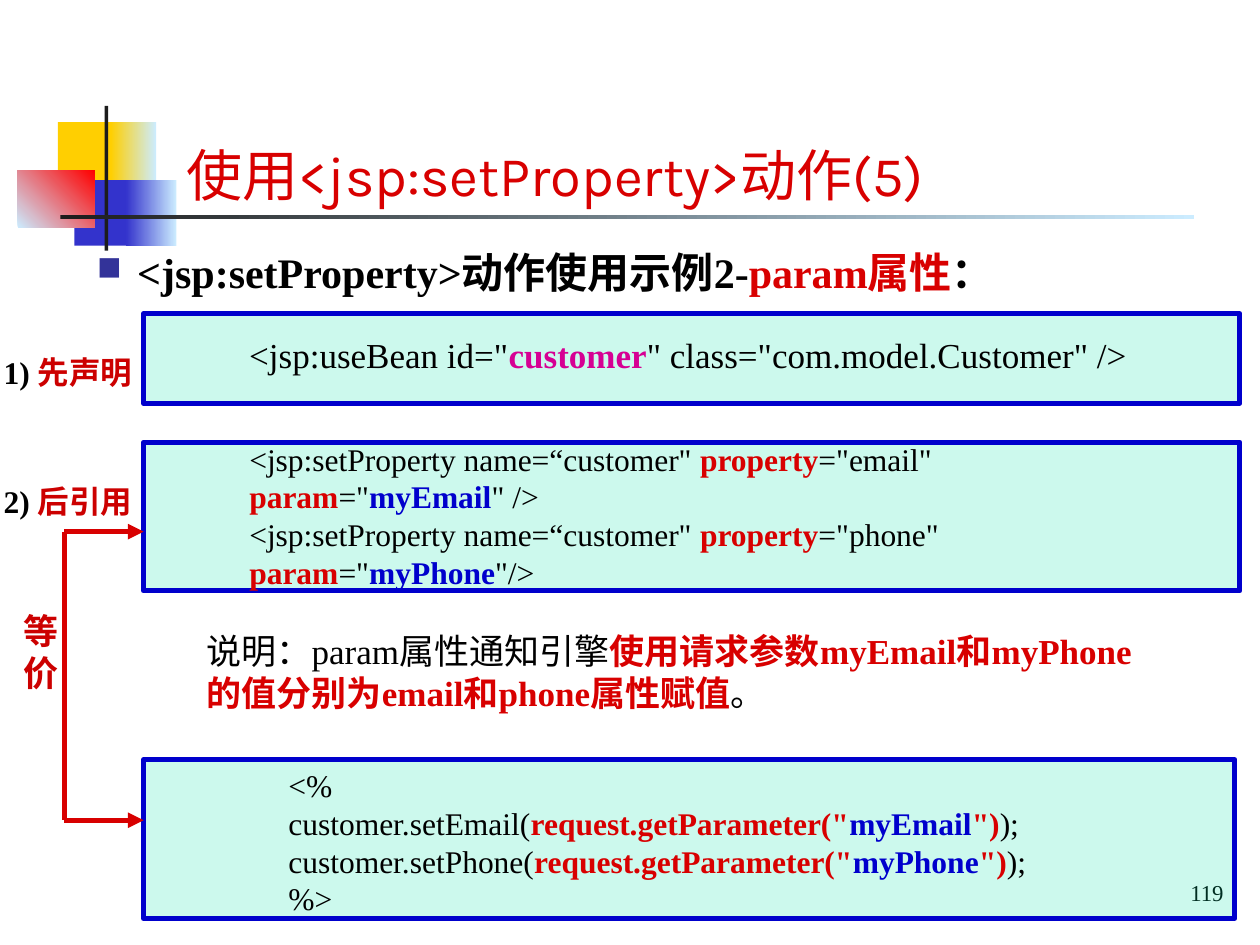
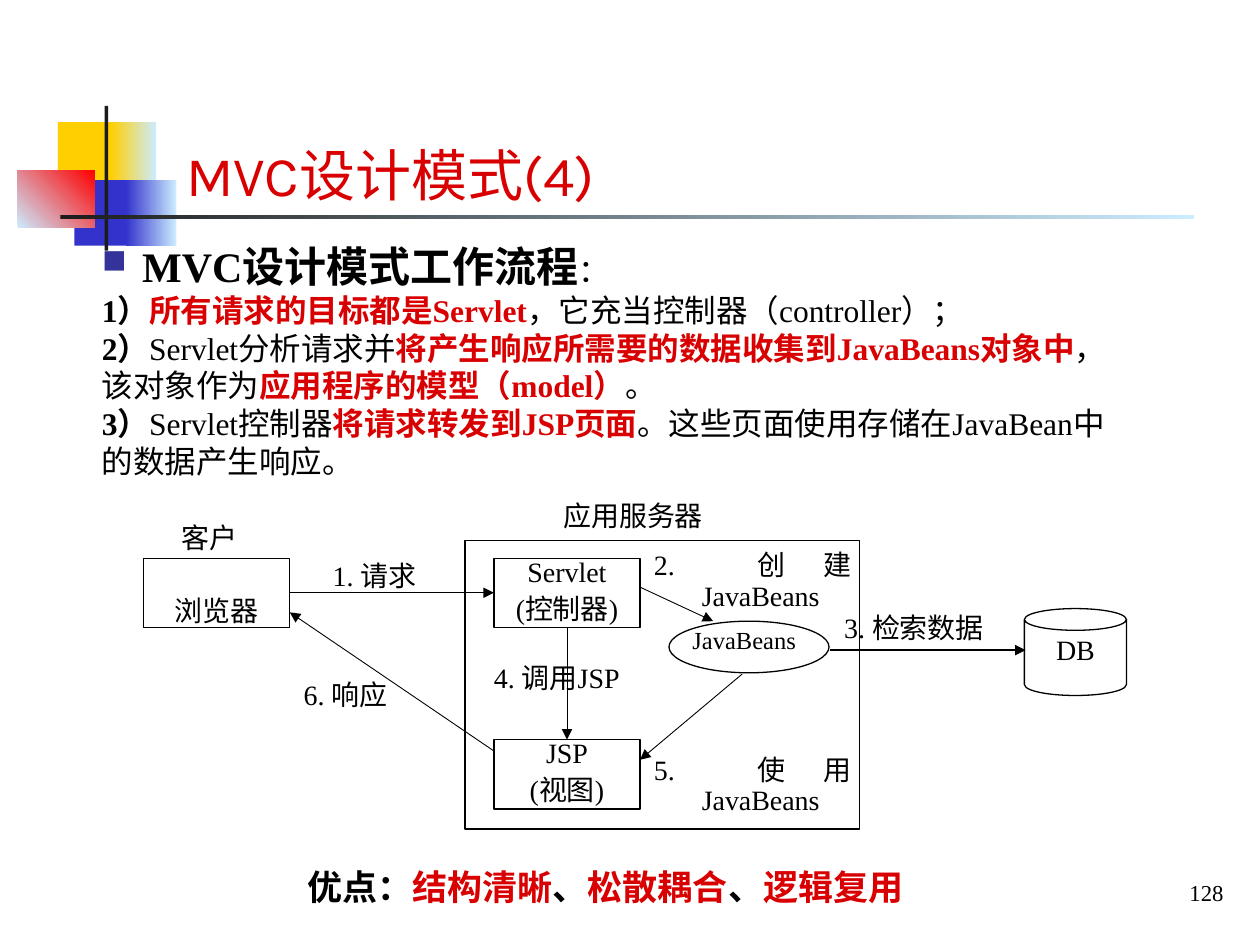
import dataclasses

import lxml.etree
import pptx
import pptx.dml.color
import pptx.enum.dml
import pptx.enum.shapes
import pptx.enum.text
import pptx.oxml
import pptx.oxml.ns
import pptx.util

Inches = pptx.util.Inches
Pt = pptx.util.Pt
RGB = pptx.dml.color.RGBColor.from_string
SHAPE = pptx.enum.shapes.MSO_SHAPE
ALIGN = pptx.enum.text.PP_ALIGN
ANCHOR = pptx.enum.text.MSO_ANCHOR
qn = pptx.oxml.ns.qn


@dataclasses.dataclass(frozen=True)
class Theme:
    black: str = "000000"
    red: str = "D80000"
    dark_red: str = "CC0000"
    blue: str = "0000CC"
    magenta: str = "D60093"
    mint: str = "00E4A8"
    bullet: str = "333399"
    yellow: str = "FFCF01"
    indigo: str = "3333CC"
    scarlet: str = "FF0000"
    charcoal: str = "1C1C1C"
    sky: str = "CCECFF"
    title_font: str = "Karla"
    body_font: str = "Times New Roman"
    title: int = 32
    heading: int = 24
    large: int = 20
    body: int = 18
    diagram: int = 16
    small: int = 14
    number: int = 13


theme = Theme()
plain = (theme.black, False)
strong = (theme.black, True)
key = (theme.red, True)
value = (theme.blue, True)
label = (theme.dark_red, True)
bean = (theme.magenta, True)
heading = (theme.black, True, theme.heading)
heading_key = (theme.red, True, theme.heading)


def write(shape, paragraphs, size, align=ALIGN.LEFT, anchor=ANCHOR.TOP, inset=(0.1, 0.05),
          indent=(0, 0), line_spacing=None, before=0, font=theme.body_font, wrap=True):
    frame = shape.text_frame
    frame.word_wrap = wrap
    frame.vertical_anchor = anchor
    frame.margin_left = frame.margin_right = Inches(inset[0])
    frame.margin_top = frame.margin_bottom = Inches(inset[1])
    for index, runs in enumerate(paragraphs):
        paragraph = frame.add_paragraph() if index else frame.paragraphs[0]
        paragraph.alignment = align
        if line_spacing:
            paragraph.line_spacing = line_spacing
        paragraph.space_before = Pt(before if index else 0)
        properties = paragraph._p.get_or_add_pPr()
        properties.set("marL", str(int(Inches(indent[0]))))
        properties.set("indent", str(int(Inches(indent[1]))))
        for text, (color, bold, *own_size) in runs:
            run = paragraph.add_run()
            run.text = text
            run.font.name = font
            run.font.size = Pt(own_size[0] if own_size else size)
            run.font.bold = bold
            run.font.color.rgb = RGB(color)
    return frame


def draw_line(shapes, start, end, color, width, arrow=True):
    line = shapes.add_connector(pptx.enum.shapes.MSO_CONNECTOR.STRAIGHT,
                                *map(Inches, (*start, *end)))
    line.line.color.rgb = RGB(color)
    line.line.width = Pt(width)
    if arrow:
        lxml.etree.SubElement(line.line._get_or_add_ln(), qn("a:tailEnd"), type="triangle")
    lxml.etree.SubElement(line._element.spPr, qn("a:effectLst"))
    return line


deck = pptx.Presentation()
deck.slide_width, deck.slide_height = Inches(10), Inches(7.5)

ornaments = [
    ((0.46, 0.97, 0.48, 0.52), [theme.yellow], 0),
    ((0.88, 0.97, 0.36, 0.52), [theme.yellow, theme.sky], 0),
    ((0.59, 1.43, 0.46, 0.52), [theme.indigo], 0),
    ((1, 1.43, 0.4, 0.52), [theme.indigo, theme.sky], 0),
    ((0.14, 1.35, 0.61, 0.46), [theme.sky, theme.scarlet], 45),
    ((0.83, 0.84, 0.03, 1.15), [theme.charcoal], 0),
    ((0.48, 1.71, 9, 0.03), [theme.charcoal, theme.sky], 0),
]
slides = []
for title, number in [("使用<jsp:setProperty>动作(5)", "119"), ("MVC设计模式(4)", "128")]:
    slide = deck.slides.add_slide(deck.slide_layouts[6])
    for place, colors, angle in ornaments:
        ornament = slide.shapes.add_shape(SHAPE.RECTANGLE, *map(Inches, place))
        ornament.shadow.inherit = False
        ornament.line.fill.background()
        if len(colors) == 1:
            ornament.fill.solid()
            ornament.fill.fore_color.rgb = RGB(colors[0])
        else:
            ornament.fill.gradient()
            ornament.fill.gradient_angle = angle
            for stop, color, position in zip(ornament.fill.gradient_stops, colors, (0, 1)):
                stop.color.rgb = RGB(color)
                stop.position = position
    page_number = slide.shapes.add_textbox(*map(Inches, (7.89, 6.9, 1.91, 0.37)))
    write(page_number, [[(number, plain)]], theme.number, ALIGN.RIGHT, ANCHOR.MIDDLE, (0.09, 0.05))
    title_box = slide.shapes.add_textbox(*map(Inches, (1.38, 0.52, 7.32, 1.18)))
    write(title_box, [[(title, (theme.red, False))]], theme.title, anchor=ANCHOR.BOTTOM,
          font=theme.title_font)
    slides.append(slide)

property_slide, mvc_slide = slides

section_texts = [
    (property_slide, (0.67, 1.91, 8.98, 0.5), [
        [("<jsp:setProperty>动作使用示例2-", heading), ("param属性", heading_key), ("：", heading)],
    ]),
    (mvc_slide, (0.71, 1.86, 8.31, 2), [
        [("MVC设计模式工作流程", heading), ("：", plain)],
        [("1）", strong), ("所有请求的目标都是Servlet", key), ("，它充当控制器（controller）；", plain)],
        [("2）", strong), ("Servlet分析请求并", plain),
         ("将产生响应所需要的数据收集到JavaBeans对象中", key), ("，该对象作为", plain),
         ("应用程序的模型（model）", key), ("。", plain)],
        [("3）", strong), ("Servlet控制器", plain), ("将请求转发到JSP页面", key),
         ("。这些页面使用存储在JavaBean中的数据产生响应。", plain)],
    ]),
]
for slide, place, paragraphs in section_texts:
    section = slide.shapes.add_textbox(*map(Inches, place))
    frame = write(section, paragraphs, theme.body)
    properties = frame.paragraphs[0]._p.get_or_add_pPr()
    properties.set("marL", str(int(Inches(0.32))))
    properties.set("indent", str(int(Inches(-0.32))))
    bullet_color = lxml.etree.SubElement(properties, qn("a:buClr"))
    lxml.etree.SubElement(bullet_color, qn("a:srgbClr"), val=theme.bullet)
    lxml.etree.SubElement(properties, qn("a:buSzPct"), val="80000")
    lxml.etree.SubElement(properties, qn("a:buChar"), char="■")

for place in [(1.14, 2.49, 8.7, 0.71), (1.14, 3.51, 8.7, 1.18), (1.14, 6.03, 8.66, 1.26)]:
    code_panel = property_slide.shapes.add_shape(SHAPE.RECTANGLE, *map(Inches, place))
    code_panel.shadow.inherit = False
    code_panel.fill.solid()
    code_panel.fill.fore_color.rgb = RGB(theme.mint)
    panel_color = code_panel._element.spPr.find(qn("a:solidFill")).find(qn("a:srgbClr"))
    lxml.etree.SubElement(panel_color, qn("a:alpha"), val="20000")
    code_panel.line.color.rgb = RGB(theme.blue)
    code_panel.line.width = Pt(3)

use_bean = [[('<jsp:useBean id="', plain), ("customer", bean),
             ('" class="com.model.Customer" />', plain)]]
set_properties = [
    [('<jsp:setProperty name=“customer" ', plain), ("property", key), (f'="{field}" ', plain),
     ("param", key), ('="', plain), (parameter, value), (closing, plain)]
    for field, parameter, closing in [("email", "myEmail", '" />'), ("phone", "myPhone", '"/>')]
]
setter_calls = [
    [(f"customer.set{field}(", plain), ('request.getParameter("', key), (f"my{field}", value),
     ('")', key), (");", plain)]
    for field in ("Email", "Phone")
]
scriptlet = [[("<%", plain)], *setter_calls, [("%>", plain)]]
for place, code, size in [
    ((1.38, 2.6, 8.27, 0.43), use_bean, theme.large),
    ((1.38, 3.44, 8.11, 1.3), set_properties, theme.body),
    ((1.69, 6.03, 7.09, 1.3), scriptlet, theme.body),
]:
    code_text = property_slide.shapes.add_textbox(*map(Inches, place))
    write(code_text, code, size, indent=(0.5, 0))

for step, action, top in [("1) ", "先声明", 2.75), ("2) ", "后引用", 3.78)]:
    step_label = property_slide.shapes.add_textbox(*map(Inches, (-0.07, top, 1.28, 0.4)))
    write(step_label, [[(step, strong), (action, label)]], theme.body, wrap=False)

bracket_top, bracket_bottom = (0.51, 4.22), (0.51, 6.51)
draw_line(property_slide.shapes, bracket_top, bracket_bottom, theme.red, 3, arrow=False)
for start in (bracket_top, bracket_bottom):
    draw_line(property_slide.shapes, start, (1.14, start[1]), theme.red, 3)

equivalent = property_slide.shapes.add_textbox(*map(Inches, (0.09, 4.79, 0.89, 0.43)))
frame = write(equivalent, [[("等\t价", label)]], theme.large, wrap=False)
tabs = lxml.etree.SubElement(frame.paragraphs[0]._p.get_or_add_pPr(), qn("a:tabLst"))
lxml.etree.SubElement(tabs, qn("a:tab"), pos=str(int(Inches(0.41))), algn="l")

explanation = property_slide.shapes.add_textbox(*map(Inches, (1.54, 4.95, 7.72, 0.77)))
write(explanation, [[("说明：param属性通知引擎", plain),
                     ("使用请求参数myEmail和myPhone的值分别为email和phone属性赋值", key),
                     ("。", plain)]], theme.large)

diagram = mvc_slide.shapes.add_group_shape().shapes
nodes = {}
for name, kind, place, lines, size, align, anchor, inset in [
    ("server", SHAPE.RECTANGLE, (3.69, 4.29, 3.13, 2.29), [], theme.diagram,
     ALIGN.CENTER, ANCHOR.TOP, (0, 0)),
    ("browser", SHAPE.RECTANGLE, (1.14, 4.43, 1.16, 0.55), ["浏览器"], theme.diagram,
     ALIGN.CENTER, ANCHOR.BOTTOM, (0, 0)),
    ("servlet", SHAPE.RECTANGLE, (3.92, 4.43, 1.16, 0.55), ["Servlet", "(控制器)"], theme.diagram,
     ALIGN.CENTER, ANCHOR.TOP, (0, 0)),
    ("jsp", SHAPE.RECTANGLE, (3.92, 5.87, 1.16, 0.55), ["JSP", "(视图)"], theme.diagram,
     ALIGN.CENTER, ANCHOR.TOP, (0, 0)),
    ("beans", SHAPE.OVAL, (5.31, 4.93, 1.27, 0.41), ["JavaBeans"], theme.small,
     ALIGN.JUSTIFY, ANCHOR.TOP, (0, 0)),
    ("database", SHAPE.CAN, (8.13, 4.83, 0.81, 0.69), ["DB"], theme.diagram,
     ALIGN.CENTER, ANCHOR.TOP, (0.1, 0.05)),
]:
    node = diagram.add_shape(kind, *map(Inches, place))
    node.shadow.inherit = False
    node.fill.background()
    node.line.color.rgb = RGB(theme.black)
    node.line.width = Pt(0.75)
    write(node, [[(line, plain)] for line in lines], size, align, anchor, inset,
          indent=(0.38, -0.38), line_spacing=0.9, before=4)
    nodes[name] = node

for caption, place, align in [
    ("客户", (0.91, 4.16, 1.51, 0.28), ALIGN.CENTER),
    ("应用服务器", (4.27, 3.99, 1.51, 0.28), ALIGN.CENTER),
    ("1. 请求", (2.64, 4.46, 0.88, 0.23), ALIGN.JUSTIFY),
    ("2. 创建JavaBeans", (5.19, 4.38, 1.57, 0.23), ALIGN.JUSTIFY),
    ("3. 检索数据", (6.7, 4.88, 1.2, 0.23), ALIGN.JUSTIFY),
    ("4. 调用JSP", (3.92, 5.27, 1.13, 0.23), ALIGN.JUSTIFY),
    ("5. 使用JavaBeans", (5.19, 6, 1.57, 0.23), ALIGN.JUSTIFY),
    ("6. 响应", (2.41, 5.41, 0.88, 0.23), ALIGN.JUSTIFY),
]:
    caption_box = diagram.add_textbox(*map(Inches, place))
    write(caption_box, [[(caption, plain)]], theme.diagram, align, inset=(0, 0),
          indent=(0.38, -0.38), line_spacing=0.9)

request = draw_line(diagram, (2.3, 4.7), (3.92, 4.7), theme.black, 0.5)
request.begin_connect(nodes["browser"], 3)
request.end_connect(nodes["servlet"], 1)
call_jsp = draw_line(diagram, (4.5, 4.98), (4.5, 5.87), theme.black, 0.5)
call_jsp.begin_connect(nodes["servlet"], 2)
call_jsp.end_connect(nodes["jsp"], 0)
for start, end, width in [
    ((5.08, 4.66), (5.66, 4.93), 0.5),
    ((5.89, 5.35), (5.08, 6.03), 0.5),
    ((3.92, 5.96), (2.3, 4.86), 0.5),
    ((6.59, 5.16), (8.14, 5.16), 0.75),
]:
    draw_line(diagram, start, end, theme.black, width)

advantages = mvc_slide.shapes.add_textbox(*map(Inches, (2.34, 6.82, 4.93, 0.43)))
write(advantages, [[("优点：", strong), ("结构清晰", key), ("、", strong), ("松散耦合", key),
                    ("、", strong), ("逻辑复用", key)]], theme.large, wrap=False)

deck.save("out.pptx")
